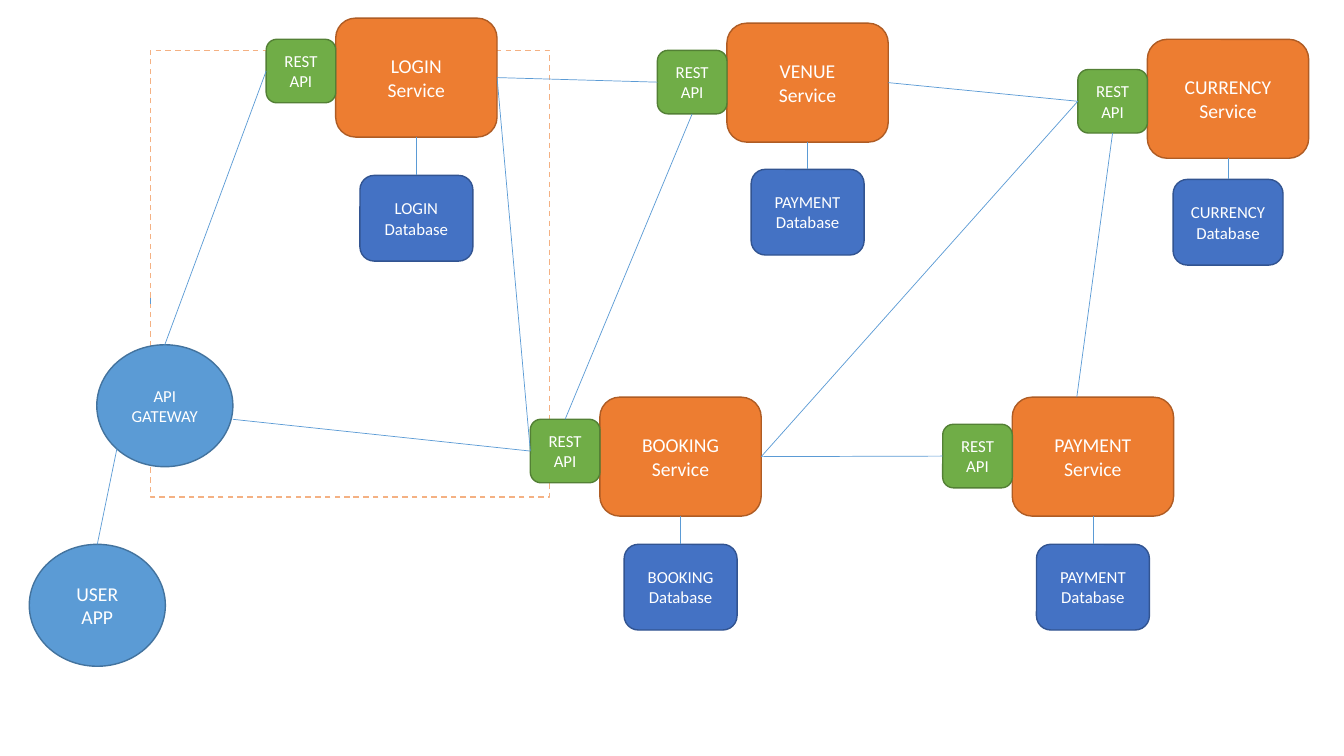
import pptx
import pptx.dml.color
import pptx.enum.dml
import pptx.enum.shapes
import pptx.enum.text
import pptx.oxml.ns
import pptx.util

Inches = pptx.util.Inches
Pt = pptx.util.Pt
SHAPES = pptx.enum.shapes.MSO_SHAPE
TOP, LEFT, BOTTOM, RIGHT = range(4)


def color(hex_string):
    return pptx.dml.color.RGBColor.from_string(hex_string)


def write_text(text_frame, text, size=12, font="Calibri", font_color="FFFFFF"):
    text_frame.word_wrap = True
    text_frame.vertical_anchor = pptx.enum.text.MSO_ANCHOR.MIDDLE
    text_frame.text = text
    for paragraph in text_frame.paragraphs:
        paragraph.alignment = pptx.enum.text.PP_ALIGN.CENTER
        paragraph.font.size = Pt(size)
        paragraph.font.name = font
        paragraph.font.color.rgb = color(font_color)


class Diagram:
    ORANGE = ("ED7D31", "AF5C24")
    GREEN = ("70AD47", "538035")
    DARK_BLUE = ("4472C4", "325491")
    LIGHT_BLUE = ("5B9BD5", "43739E")

    def __init__(self, slide):
        self.slide = slide

    def node(self, kind, left, top, width, height, colors, text, size=12):
        shape = self.slide.shapes.add_shape(
            kind, Inches(left), Inches(top), Inches(width), Inches(height))
        shape.shadow.inherit = False
        shape.fill.solid()
        shape.fill.fore_color.rgb = color(colors[0])
        shape.line.color.rgb = color(colors[1])
        shape.line.width = Pt(1)
        write_text(shape.text_frame, text, size=size)
        return shape

    def circle(self, left, top, text, size):
        return self.node(SHAPES.OVAL, left, top, 1.35, 1.21,
                         self.LIGHT_BLUE, text, size)

    def box(self, left, top, width, height, colors, text, size=12):
        return self.node(SHAPES.ROUNDED_RECTANGLE, left, top, width, height,
                         colors, text, size)

    def boundary(self, left, top, width, height):
        shape = self.slide.shapes.add_shape(
            SHAPES.RECTANGLE, Inches(left), Inches(top), Inches(width), Inches(height))
        shape.shadow.inherit = False
        shape.fill.background()
        shape.line.color.rgb = color("F4B183")
        shape.line.width = Pt(1)
        shape.line.dash_style = pptx.enum.dml.MSO_LINE.DASH

    def service(self, name, left, top, rest_top, database_top,
                database_name=None, database_width=1.12):
        service = self.box(left, top, 1.6, 1.18, self.ORANGE, f"{name}\nService", 14)
        database_left = left + (1.6 - database_width) / 2
        database = self.box(database_left, database_top, database_width, 0.85,
                            self.DARK_BLUE, f"{database_name or name}\nDatabase")
        rest = self.box(left - 0.69, rest_top, 0.69, 0.63, self.GREEN, "REST\nAPI")
        self.connect((database, TOP), (service, BOTTOM))
        return service, rest

    def connect(self, start, end):
        connector = self.slide.shapes.add_connector(
            pptx.enum.shapes.MSO_CONNECTOR.STRAIGHT,
            *self.position(start), *self.position(end))
        if not isinstance(start[0], float):
            connector.begin_connect(*start)
        if not isinstance(end[0], float):
            connector.end_connect(*end)
        connector.line.color.rgb = color("5B9BD5")
        connector.line.width = Pt(0.5)
        properties = connector._element.spPr
        properties.append(properties.makeelement(pptx.oxml.ns.qn("a:effectLst"), {}))

    def position(self, target):
        if isinstance(target[0], float):
            return Inches(target[0]), Inches(target[1])
        shape, side = target
        x = shape.left + {LEFT: 0, RIGHT: shape.width}.get(side, shape.width // 2)
        y = shape.top + {TOP: 0, BOTTOM: shape.height}.get(side, shape.height // 2)
        return x, y


def main():
    presentation = pptx.Presentation()
    presentation.slide_width = Inches(13.33)
    presentation.slide_height = Inches(7.5)
    diagram = Diagram(presentation.slides.add_slide(presentation.slide_layouts[6]))

    diagram.boundary(1.49, 0.5, 3.96, 4.43)
    user_app = diagram.circle(0.29, 5.4, "USER APP", 14)
    gateway = diagram.circle(0.96, 3.42, "API GATEWAY", 12)

    booking, booking_rest = diagram.service("BOOKING", 5.95, 3.94, 4.16, 5.4)
    payment, payment_rest = diagram.service("PAYMENT", 10.04, 3.94, 4.21, 5.4)
    currency, currency_rest = diagram.service(
        "CURRENCY", 11.38, 0.39, 0.69, 1.78, database_width=1.09)
    login, login_rest = diagram.service("LOGIN", 3.33, 0.18, 0.39, 1.74)
    venue, venue_rest = diagram.service(
        "VENUE", 7.21, 0.23, 0.5, 1.68, database_name="PAYMENT")

    links = [
        ((user_app, TOP), (1.16, 4.45)),
        ((gateway, TOP), (login_rest, LEFT)),
        ((1.49, 2.96), (1.49, 3.02)),
        ((2.31, 4.16), (booking_rest, LEFT)),
        ((login, RIGHT), (booking_rest, LEFT)),
        ((booking, RIGHT), (payment_rest, LEFT)),
        ((login, RIGHT), (venue_rest, LEFT)),
        ((10.68, 3.94), (currency_rest, BOTTOM)),
        ((venue_rest, BOTTOM), (booking_rest, TOP)),
        ((venue, RIGHT), (currency_rest, LEFT)),
        ((booking, RIGHT), (currency_rest, LEFT)),
    ]
    for start, end in links:
        diagram.connect(start, end)

    presentation.save("out.pptx")


if __name__ == "__main__":
    main()
